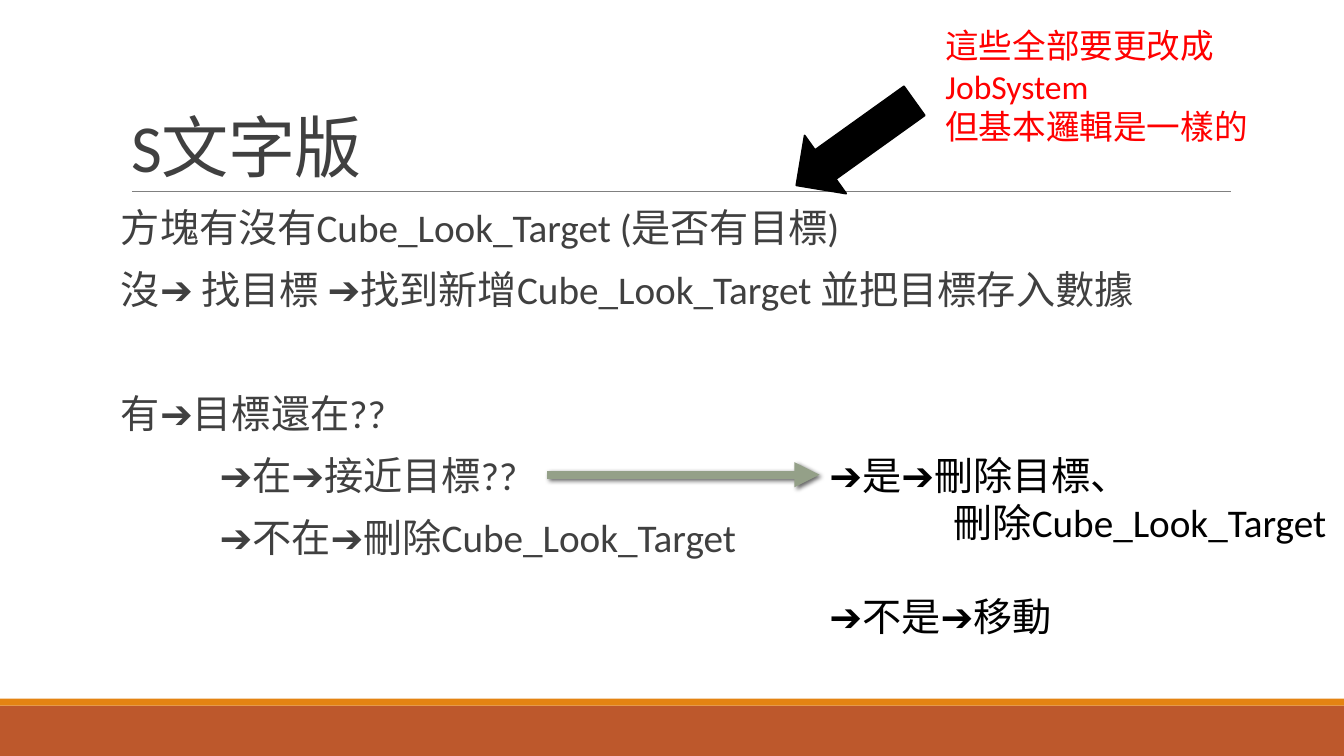
from dataclasses import dataclass

from lxml import etree
from pptx import Presentation
from pptx.dml.color import RGBColor
from pptx.enum.shapes import MSO_CONNECTOR, MSO_SHAPE
from pptx.enum.text import MSO_ANCHOR, MSO_AUTO_SIZE, PP_ALIGN
from pptx.oxml.ns import nsdecls, qn
from pptx.util import Pt

RECTANGLE = MSO_SHAPE.RECTANGLE
DOWN_ARROW = MSO_SHAPE.DOWN_ARROW
STRAIGHT = MSO_CONNECTOR.STRAIGHT
TOP, BOTTOM = MSO_ANCHOR.TOP, MSO_ANCHOR.BOTTOM
GROW, FIXED = MSO_AUTO_SIZE.SHAPE_TO_FIT_TEXT, MSO_AUTO_SIZE.NONE
LEFT = PP_ALIGN.LEFT

FONT = "Calibri"
WHITE = RGBColor(0xFF, 0xFF, 0xFF)
BLACK = RGBColor(0, 0, 0)
RED = RGBColor(0xFF, 0, 0)
CHARCOAL = RGBColor(0x40, 0x40, 0x40)
GREY = RGBColor(0x80, 0x80, 0x80)
RUST = RGBColor(0xBD, 0x58, 0x2C)
ORANGE = RGBColor(0xE4, 0x83, 0x12)
SAGE = RGBColor(0x94, 0xA0, 0x88)

SLIDE_WIDTH, SLIDE_HEIGHT = 960, 540
TEXT_LEFT = 86.4
TEXT_WIDTH = 792
BRANCH_INDENT = 63.3


@dataclass
class Line:
    text: str
    before: float = 0
    margin: float = 0
    first_indent: float = 0


@dataclass
class TextBlock:
    left: float
    top: float
    width: float
    height: float
    size: float
    color: RGBColor
    lines: list[Line]
    side_inset: float = 7.2
    line_spacing: float = 1.0
    after: float = 0
    auto_size: MSO_AUTO_SIZE = GROW


@dataclass
class Band:
    top: float
    height: float
    color: RGBColor


def add_run(paragraph, text: str, size: float, color: RGBColor):
    run = paragraph.add_run()
    run.text = text
    run.font.name = FONT
    run.font.size = Pt(size)
    run.font.color.rgb = color
    return run


def add_text_block(slide, block: TextBlock) -> None:
    box = slide.shapes.add_textbox(
        Pt(block.left), Pt(block.top), Pt(block.width), Pt(block.height))
    frame = box.text_frame
    frame.word_wrap = True
    frame.auto_size = block.auto_size
    frame.vertical_anchor = TOP
    frame.margin_left = frame.margin_right = Pt(block.side_inset)
    for index, line in enumerate(block.lines):
        paragraph = frame.add_paragraph() if index else frame.paragraphs[0]
        paragraph.alignment = LEFT
        paragraph.line_spacing = block.line_spacing
        paragraph.space_before = Pt(line.before)
        paragraph.space_after = Pt(block.after)
        properties = paragraph._p.get_or_add_pPr()
        properties.set("marL", str(Pt(line.margin)))
        properties.set("indent", str(Pt(line.first_indent)))
        add_run(paragraph, line.text, block.size, block.color)


def add_band(slide, band: Band) -> None:
    strip = slide.shapes.add_shape(
        RECTANGLE, 0, Pt(band.top), Pt(SLIDE_WIDTH), Pt(band.height))
    strip.shadow.inherit = False
    strip.fill.solid()
    strip.fill.fore_color.rgb = band.color
    strip.line.fill.background()


def add_line(slide, start: float, end: float, y: float, color: RGBColor, width: float):
    line = slide.shapes.add_connector(STRAIGHT, Pt(start), Pt(y), Pt(end), Pt(y))
    line.line.color.rgb = color
    line.line.width = Pt(width)
    effects = etree.SubElement(line._element.spPr, qn("a:effectLst"))
    return line, effects


def add_title(slide, text: str) -> None:
    title = slide.shapes.title
    title.left, title.top = Pt(TEXT_LEFT), Pt(22.3)
    title.width, title.height = Pt(TEXT_WIDTH), Pt(114.5)
    frame = title.text_frame
    frame.auto_size = FIXED
    frame.word_wrap = True
    frame.vertical_anchor = BOTTOM
    paragraph = frame.paragraphs[0]
    paragraph.alignment = LEFT
    paragraph.line_spacing = 0.85
    run = add_run(paragraph, text, 48, CHARCOAL)
    run._r.get_or_add_rPr().set("spc", "-50")


def add_flow_arrow(slide) -> None:
    arrow, effects = add_line(slide, 391, 585.4, 339.1, SAGE, 6)
    outline = arrow.line._get_or_add_ln()
    etree.SubElement(outline, qn("a:tailEnd"), type="triangle")
    effects.append(etree.fromstring(
        f'<a:outerShdw {nsdecls("a")} blurRad="{Pt(3)}" dist="{Pt(2)}" '
        'dir="2700000" rotWithShape="0"><a:srgbClr val="000000">'
        '<a:alpha val="60000"/></a:srgbClr></a:outerShdw>'))


def add_note_arrow(slide) -> None:
    arrow = slide.shapes.add_shape(
        DOWN_ARROW, Pt(585.4), Pt(50.4), Pt(51.1), Pt(103.7))
    arrow.rotation = 54.4
    arrow.shadow.inherit = False
    arrow.fill.solid()
    arrow.fill.fore_color.rgb = BLACK
    arrow.line.color.rgb = BLACK
    arrow.line.width = Pt(1.25)


def step(text: str, before: float = 12, branch: float = 0) -> Line:
    return Line(text, before, 7.2 + branch, 0 if branch else -7.2)


LOGIC = TextBlock(
    TEXT_LEFT, 145.4, TEXT_WIDTH, 316.8, 28, CHARCOAL,
    [
        step("方塊有沒有Cube_Look_Target (是否有目標)"),
        step("沒➔ 找目標 ➔找到新增Cube_Look_Target 並把目標存入數據"),
        step("有➔目標還在??", before=56.6),
        step("➔在➔接近目標??", branch=BRANCH_INDENT),
        step("➔不在➔刪除Cube_Look_Target", branch=BRANCH_INDENT),
    ],
    side_inset=0, line_spacing=0.9, after=2, auto_size=FIXED)

OUTCOMES = TextBlock(
    585.4, 319, 372, 143.3, 28, BLACK,
    [
        Line("➔是➔刪除目標、"),
        Line("刪除Cube_Look_Target", first_indent=88.6),
        Line("➔不是➔移動", before=33),
    ])

REMARK = TextBlock(
    668.2, 14.4, 266.4, 94.3, 24, RED,
    [Line("這些全部要更改成JobSystem"), Line("但基本邏輯是一樣的")])

FOOTER_BANDS = [Band(504, 36, RUST), Band(499, 5, ORANGE)]


def main() -> None:
    deck = Presentation()
    deck.slide_width, deck.slide_height = Pt(SLIDE_WIDTH), Pt(SLIDE_HEIGHT)
    slide = deck.slides.add_slide(deck.slide_layouts[5])
    slide.background.fill.solid()
    slide.background.fill.fore_color.rgb = WHITE

    # Footer bands and title rule
    for band in FOOTER_BANDS:
        add_band(slide, band)
    add_line(slide, 94.3, 879.1, 136.8, GREY, 0.5)

    # Title and decision steps
    add_title(slide, "S文字版")
    add_text_block(slide, LOGIC)

    # Outcome of the distance check
    add_flow_arrow(slide)
    add_text_block(slide, OUTCOMES)

    # Remark in the corner
    add_note_arrow(slide)
    add_text_block(slide, REMARK)

    deck.save("out.pptx")


if __name__ == "__main__":
    main()
